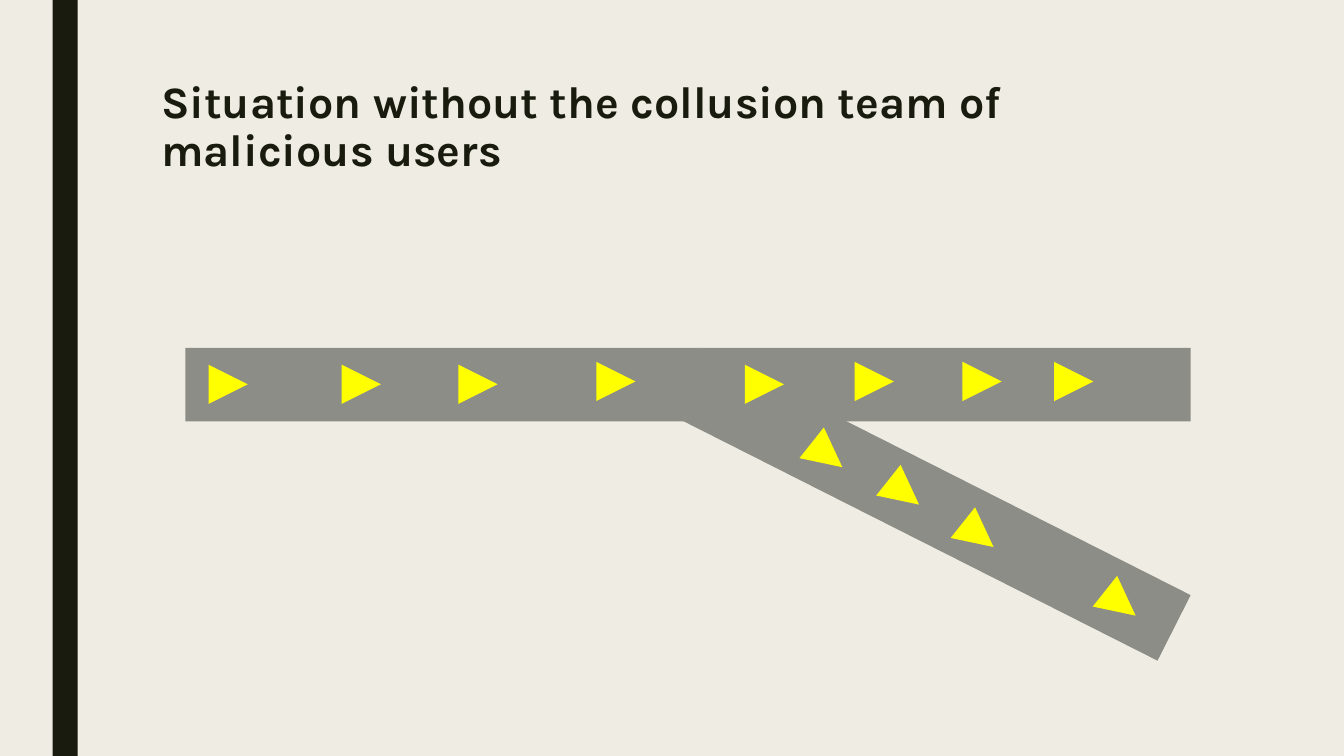
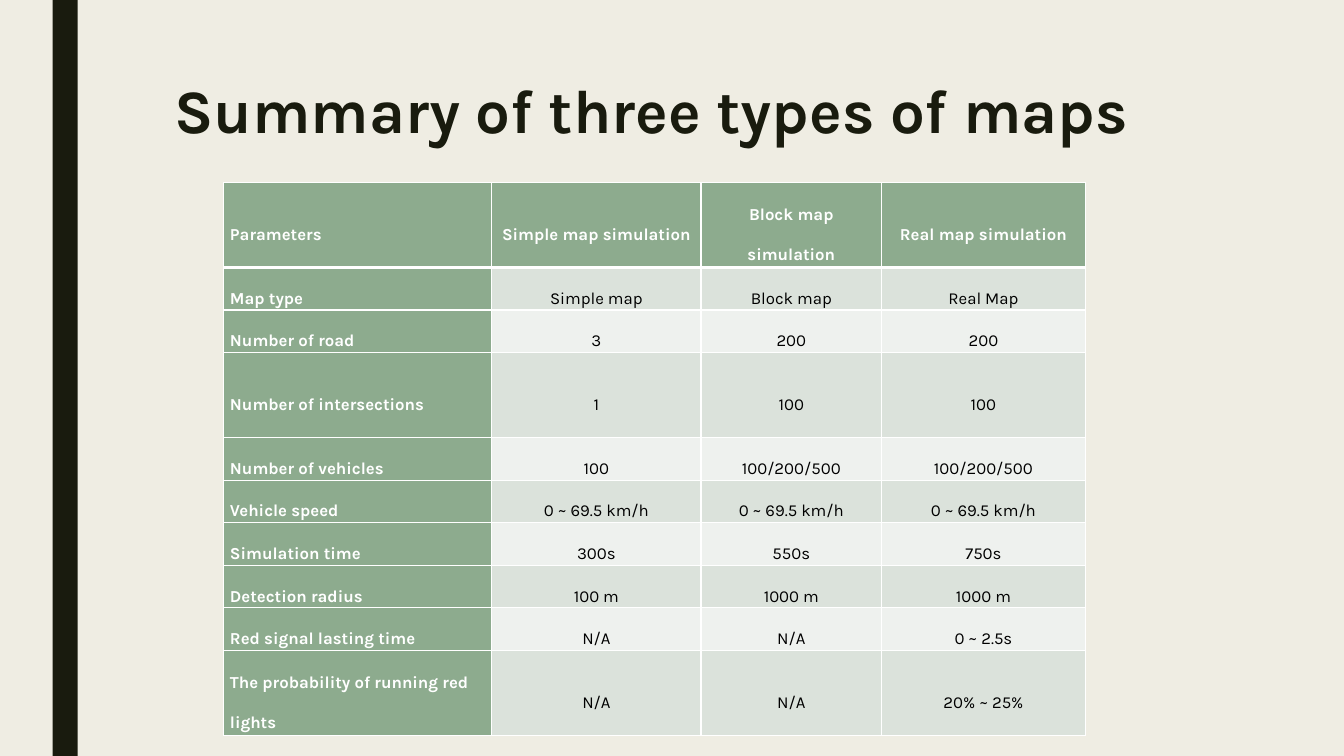
from lxml import etree
from pptx import Presentation
from pptx.dml.color import RGBColor
from pptx.enum.shapes import MSO_SHAPE
from pptx.enum.text import MSO_ANCHOR, PP_ALIGN
from pptx.oxml.ns import qn
from pptx.util import Pt

RECTANGLE = MSO_SHAPE.RECTANGLE
TRIANGLE = MSO_SHAPE.ISOSCELES_TRIANGLE
TOP, MIDDLE = MSO_ANCHOR.TOP, MSO_ANCHOR.MIDDLE
LEFT, CENTER = PP_ALIGN.LEFT, PP_ALIGN.CENTER

# Shared look
FONT = "Karla"
PAPER, INK, WHITE, BLACK = "EFEDE3", "191B0E", "FFFFFF", "000000"
ROAD, VEHICLE = "8C8D86", "FFFF00"
HEADING, BANDS = "8DAB8E", ("DBE2DB", "EEF1EE")
SLIDE_WIDTH, SLIDE_HEIGHT = 960, 540

# Road scene: left and top of each vehicle
VEHICLE_SIZE = 28
MAIN_HEADING, BRANCH_HEADING = 90, 128.5
MAIN_VEHICLES = [(149, 260.5), (244, 260.5), (327.5, 260.5), (426, 258.5),
                 (532, 260.5), (610.5, 258.5), (687.5, 258.5), (753, 258.5)]
BRANCH_VEHICLES = [(576.7, 311), (631.5, 337.7), (684.7, 368), (786.2, 417)]

# Map comparison
COLUMN_WIDTHS = (191.5, 149.5, 129, 145.5)
ROW_UNIT = 30.4
ROW_UNITS = (2, 1, 1, 2, 1, 1, 1, 1, 1, 2)
MAP_SUMMARY = [
    ("Parameters", "Simple map simulation", "Block map simulation", "Real map simulation"),
    ("Map type", "Simple map", "Block map", "Real Map"),
    ("Number of road", "3", "200", "200"),
    ("Number of intersections", "1", "100", "100"),
    ("Number of vehicles", "100", "100/200/500", "100/200/500"),
    ("Vehicle speed", "0 ~ 69.5 km/h", "0 ~ 69.5 km/h", "0 ~ 69.5 km/h"),
    ("Simulation time", "300s", "550s", "750s"),
    ("Detection radius", "100 m", "1000 m", "1000 m"),
    ("Red signal lasting time", "N/A", "N/A", "0 ~ 2.5s"),
    ("The probability of running red lights", "N/A", "N/A", "20% ~ 25%"),
]


def paint(fill, color):
    fill.solid()
    fill.fore_color.rgb = RGBColor.from_string(color)


def write_text(frame, text, size=12, color=BLACK, bold=False, align=LEFT, spacing=1.0):
    paragraph = frame.paragraphs[0]
    paragraph.alignment = align
    paragraph.line_spacing = spacing
    run = paragraph.add_run()
    run.text = text
    run.font.name = FONT
    run.font.size = Pt(size)
    run.font.bold = bold
    run.font.color.rgb = RGBColor.from_string(color)


def add_block(slide, kind, left, top, width, height, color, rotation=0):
    block = slide.shapes.add_shape(kind, Pt(left), Pt(top), Pt(width), Pt(height))
    block.shadow.inherit = False
    block.rotation = rotation
    paint(block.fill, color)
    block.line.fill.background()


def add_titled_slide(prs, title, left, height, size):
    """Blank slide with the dark side band and a title."""
    slide = prs.slides.add_slide(prs.slide_layouts[6])
    paint(slide.background.fill, PAPER)
    add_block(slide, RECTANGLE, 37.5, 0, 18, SLIDE_HEIGHT, INK)
    heading = slide.shapes.add_textbox(Pt(left), Pt(54), Pt(756), Pt(height))
    frame = heading.text_frame
    frame.word_wrap = True
    frame.vertical_anchor = TOP
    write_text(frame, title, size=size, color=INK, bold=True, spacing=0.89)
    return slide


def set_borders(cell, **widths):
    """Draw white cell edges; keyword names are the sides L, R, T and B."""
    properties = cell._tc.get_or_add_tcPr()
    for side, width in widths.items():
        edge = etree.SubElement(properties, qn(f"a:ln{side}"), w=str(Pt(width)))
        fill = etree.SubElement(edge, qn("a:solidFill"))
        etree.SubElement(fill, qn("a:srgbClr"), val=WHITE)


def fill_cell(cell, text, row, column):
    is_heading = row == 0 or column == 0
    set_borders(cell, L=1, R=1, T=3 if row == 1 else 1, B=3 if row == 0 else 1)
    paint(cell.fill, HEADING if is_heading else BANDS[(row - 1) % 2])
    cell.vertical_anchor = MIDDLE
    cell.margin_left = cell.margin_right = Pt(4.5)
    cell.margin_top = cell.margin_bottom = 0
    write_text(cell.text_frame, text, color=WHITE if is_heading else BLACK,
               bold=is_heading, align=CENTER if column else LEFT, spacing=2.0)


def add_summary_table(slide, left, top):
    summary = slide.shapes.add_table(
        len(MAP_SUMMARY), len(COLUMN_WIDTHS), Pt(left), Pt(top),
        Pt(sum(COLUMN_WIDTHS)), Pt(ROW_UNIT * sum(ROW_UNITS))).table
    summary.first_row = summary.horz_banding = False
    for column, width in zip(summary.columns, COLUMN_WIDTHS):
        column.width = Pt(width)
    for row, units in zip(summary.rows, ROW_UNITS):
        row.height = Pt(ROW_UNIT * units)
    for r, values in enumerate(MAP_SUMMARY):
        for c, value in enumerate(values):
            fill_cell(summary.cell(r, c), value, r, c)


def add_vehicles(slide, places, rotation):
    for left, top in places:
        add_block(slide, TRIANGLE, left, top, VEHICLE_SIZE, VEHICLE_SIZE, VEHICLE, rotation)


def main():
    prs = Presentation()
    prs.slide_width, prs.slide_height = Pt(SLIDE_WIDTH), Pt(SLIDE_HEIGHT)

    # Traffic on the main road and its branch
    traffic = add_titled_slide(
        prs, "Situation without the collusion team of malicious users", 108, 56, 32)
    add_block(traffic, RECTANGLE, 132.5, 248.5, 718, 52.5, ROAD)
    add_block(traffic, RECTANGLE, 468, 334, 391.7, 52.5, ROAD, 26.8)
    add_vehicles(traffic, MAIN_VEHICLES, MAIN_HEADING)
    add_vehicles(traffic, BRANCH_VEHICLES, BRANCH_HEADING)

    # Parameters of the three maps
    maps = add_titled_slide(prs, "Summary of three types of maps", 117.5, 116.5, 44)
    add_summary_table(maps, 159.8, 130.3)

    prs.save("out.pptx")


if __name__ == "__main__":
    main()
